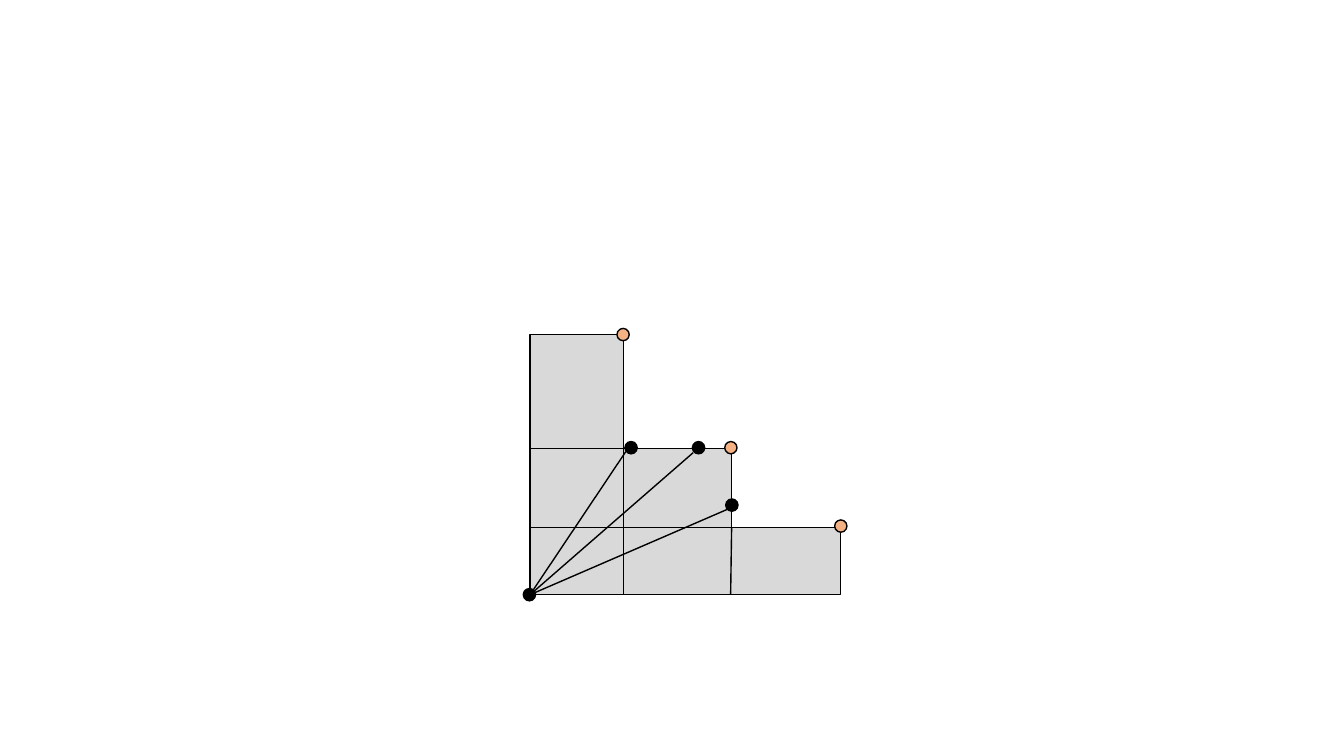
from pptx import Presentation
from pptx.dml.color import RGBColor
from pptx.enum.shapes import MSO_CONNECTOR, MSO_SHAPE
from pptx.oxml.ns import qn
from pptx.util import Pt
from lxml.etree import SubElement

COLORS = {"ink": "000000", "area": "D9D9D9", "corner": "F4B183"}
DOT = 8.8

# All points are (right, up) from the shared lower left corner.
AREAS = [(144, 104.4), (67, 185.8), (222, 48.2)]
RAYS = [(141, 61), (116.6, 101.5), (68.4, 102.2)]
SEAMS = [((0, 104.4), (72, 104.4)), ((67, 49.7), (67, 0)),
         ((144, 48.2), (143.3, 0))]
BLACK = [(-0.4, 0), (72.2, 105), (120.4, 105), (144.2, 64)]
CORNERS = [(66.5, 185.8), (143.5, 105), (222, 49)]


def color(name):
    return RGBColor.from_string(COLORS[name])


def style(line):
    line.color.rgb = color("ink")
    line.width = Pt(1)


def plot(slide, left, base):
    """Draw the overlapping areas with their lower left corner at left, base."""
    group = slide.shapes.add_group_shape()

    def shape(kind, x, top, wide, high, fill):
        item = group.shapes.add_shape(
            kind, Pt(left + x), Pt(base - top), Pt(wide), Pt(high))
        item.shadow.inherit = False
        item.fill.solid()
        item.fill.fore_color.rgb = color(fill)
        style(item.line)

    def dot(x, y, fill):
        shape(MSO_SHAPE.OVAL, x - DOT / 2, y + DOT / 2, DOT, DOT, fill)

    def line(start, end):
        (x1, y1), (x2, y2) = start, end
        item = group.shapes.add_connector(
            MSO_CONNECTOR.STRAIGHT, Pt(left + x1), Pt(base - y1),
            Pt(left + x2), Pt(base - y2))
        SubElement(item._element.spPr, qn("a:effectLst"))
        style(item.line)

    for wide, high in AREAS:
        shape(MSO_SHAPE.RECTANGLE, 0, high, wide, high, "area")
    for end in RAYS:
        line((0, 0), end)
    for x, y in BLACK:
        dot(x, y, "ink")
    for start, end in SEAMS:
        line(start, end)
    for x, y in CORNERS:
        dot(x, y, "corner")


def main():
    deck = Presentation()
    deck.slide_width, deck.slide_height = Pt(960), Pt(540)
    slide = deck.slides.add_slide(deck.slide_layouts[6])
    plot(slide, 378.6, 424.8)
    deck.save("out.pptx")


if __name__ == "__main__":
    main()
